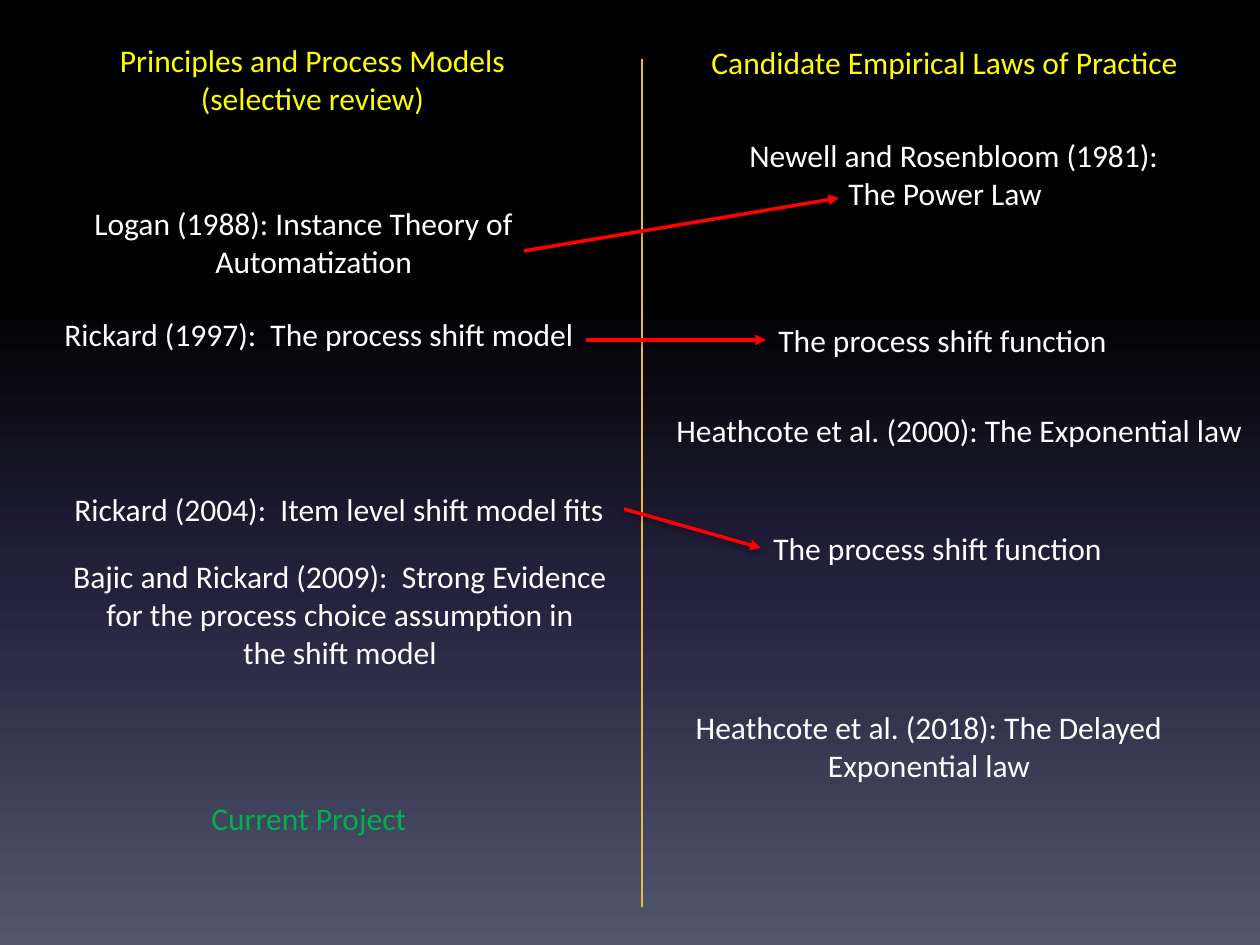
from lxml.etree import SubElement
from pptx import Presentation
from pptx.dml.color import RGBColor
from pptx.enum.shapes import MSO_CONNECTOR
from pptx.enum.text import MSO_AUTO_SIZE, PP_ALIGN
from pptx.oxml.ns import qn
from pptx.util import Emu, Pt

EMU_PER_PX = 914400 / 126
FONT, TEXT_SIZE = "Calibri", 18
LINE_HEIGHT, BOX_PADDING = 38, 13
YELLOW, WHITE, GREEN, RED, GOLD = "FFFF00", "FFFFFF", "00B050", "FF0000", "E7BA45"

BACKGROUND_STOPS = [(0, "000000"), (31, "000000"), (62, "24213E"), (100, "51566D")]

# left, top, width, centred, lines
HEADINGS = [
    (38, 35, 549, True, ["Principles and Process Models", "(selective review)"]),
    (699, 37, 549, False, ["Candidate Empirical Laws of Practice"]),
]

# left, top, width, centred, indent of the second line, colour, lines
MODELS = [
    (82, 198, 461, False, 121, WHITE, ["Logan (1988): Instance Theory of", "Automatization"]),
    (52, 309, 548, False, 0, WHITE, ["Rickard (1997):  The process shift model"]),
    (62, 484, 566, False, 0, WHITE, ["Rickard (2004):  Item level shift model fits"]),
    (52, 551, 576, True, 0, WHITE, ["Bajic and Rickard (2009):  Strong Evidence",
                                    "for the process choice assumption in",
                                    "the shift model"]),
    (199, 793, 227, False, 0, GREEN, ["Current Project"]),
]
LAWS = [
    (737, 130, 440, False, 99, WHITE, ["Newell and Rosenbloom (1981):", "The Power Law"]),
    (766, 315, 363, False, 0, WHITE, ["The process shift function"]),
    (664, 405, 604, False, 0, WHITE, ["Heathcote et al. (2000): The Exponential law"]),
    (761, 523, 363, False, 0, WHITE, ["The process shift function"]),
    (675, 702, 508, True, 0, WHITE, ["Heathcote et al. (2018): The Delayed", "Exponential law"]),
]

# x and y of the start, x and y of the end
DIVIDER = (642, 59, 642, 907)
MODEL_TO_LAW = [(524, 251, 839, 198), (586, 340, 766, 340), (624, 509, 761, 548)]


def px(length):
    return Emu(round(length * EMU_PER_PX))


def rgb(hex_color):
    return RGBColor.from_string(hex_color)


def paint_background(slide):
    fill = slide.background.fill
    fill.gradient()
    fill.gradient_angle = 270
    stop_list = slide.background._cSld.find(".//" + qn("a:gsLst"))
    for old_stop in list(stop_list):
        stop_list.remove(old_stop)
    for percent, color in BACKGROUND_STOPS:
        stop = SubElement(stop_list, qn("a:gs"), pos=str(percent * 1000))
        SubElement(stop, qn("a:srgbClr"), val=color)


def add_text(slide, left, top, width, centred, indent, color, lines, wrap=False):
    height = BOX_PADDING + LINE_HEIGHT * len(lines)
    box = slide.shapes.add_textbox(px(left), px(top), px(width), px(height))
    frame = box.text_frame
    frame.word_wrap = wrap
    frame.auto_size = MSO_AUTO_SIZE.SHAPE_TO_FIT_TEXT
    for number, line in enumerate(lines):
        paragraph = frame.add_paragraph() if number else frame.paragraphs[0]
        paragraph.alignment = PP_ALIGN.CENTER if centred else PP_ALIGN.LEFT
        if number and indent:
            paragraph._p.get_or_add_pPr().set("marL", str(px(indent)))
        run = paragraph.add_run()
        run.text = line
        run.font.name = FONT
        run.font.size = Pt(TEXT_SIZE)
        run.font.color.rgb = rgb(color)


def add_line(slide, ends, color, width, arrow=False):
    line = slide.shapes.add_connector(MSO_CONNECTOR.STRAIGHT, *map(px, ends))
    line.line.color.rgb = rgb(color)
    line.line.width = Pt(width)
    properties = line._element.spPr
    effects = SubElement(properties, qn("a:effectLst"))
    if arrow:
        SubElement(properties.find(qn("a:ln")), qn("a:tailEnd"), type="triangle")
        shadow = SubElement(effects, qn("a:outerShdw"), blurRad="40000", dist="20000",
                            dir="5400000", rotWithShape="0")
        shade = SubElement(shadow, qn("a:srgbClr"), val="000000")
        SubElement(shade, qn("a:alpha"), val="38000")


def main():
    deck = Presentation()
    deck.slide_width, deck.slide_height = px(1260), px(945)
    slide = deck.slides.add_slide(deck.slide_layouts[6])
    paint_background(slide)

    # Column headings and the divider between them
    for left, top, width, centred, lines in HEADINGS:
        add_text(slide, left, top, width, centred, 0, YELLOW, lines, wrap=True)
    add_line(slide, DIVIDER, GOLD, 1.5)

    # Entries of both columns
    for entry in MODELS + LAWS:
        add_text(slide, *entry)

    # Arrows from each model to the law it predicts
    for ends in MODEL_TO_LAW:
        add_line(slide, ends, RED, 2, arrow=True)

    deck.save("out.pptx")


if __name__ == "__main__":
    main()
